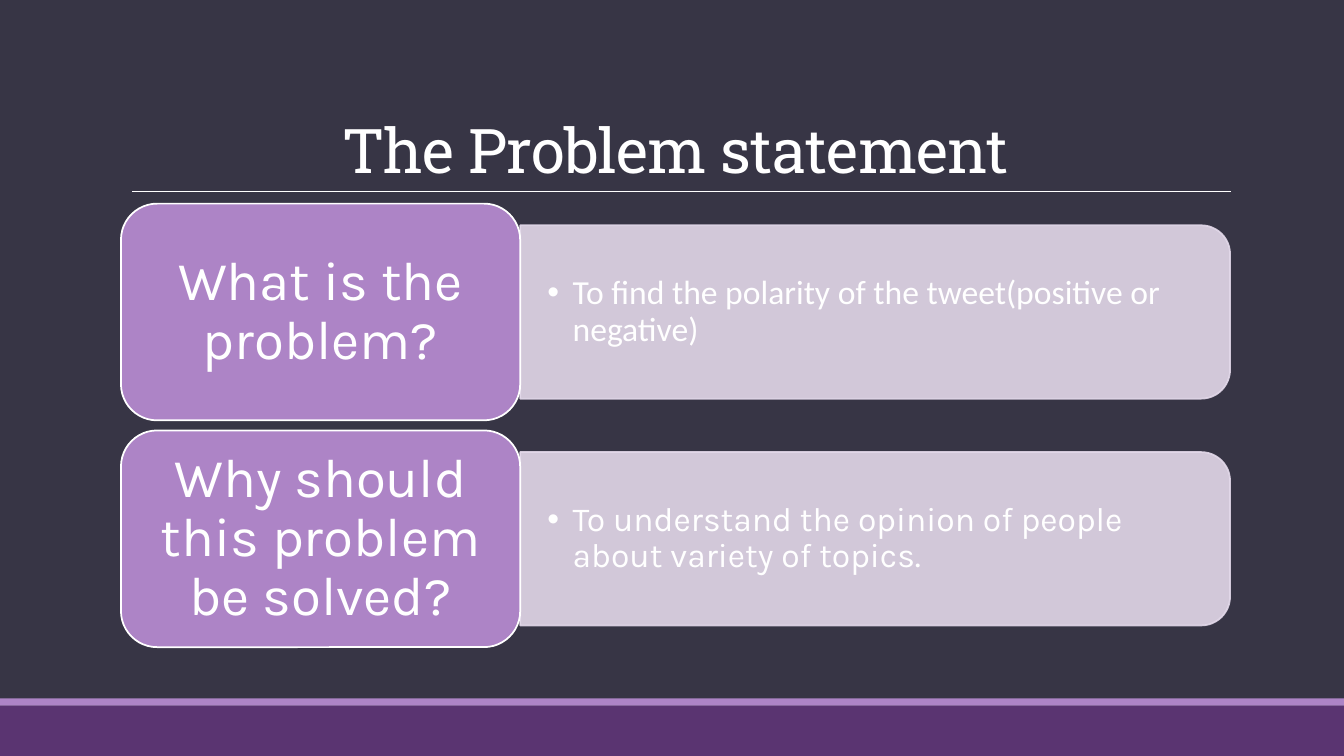
import pptx
import pptx.dml.color
import pptx.enum.shapes
import pptx.enum.text
import pptx.oxml
import pptx.oxml.ns
import pptx.util

Inches = pptx.util.Inches
Pt = pptx.util.Pt
Shape = pptx.enum.shapes.MSO_SHAPE
Align = pptx.enum.text.PP_ALIGN
Anchor = pptx.enum.text.MSO_ANCHOR
WHITE, LILAC, PALE = "FFFFFF", "AD84C6", "E3D9EA"
ROWS = [
    ("What is the problem?",
     "To find the polarity of the tweet(positive or negative)", "Calibri"),
    ("Why should this problem be solved?",
     "To understand the opinion of people about variety of topics.", "Karla"),
]


def paint(color, code):
    """Set a colour from a hex string."""
    color.rgb = pptx.dml.color.RGBColor.from_string(code)


def place(item, left, top, width, height):
    """Move an item to a box given in inches."""
    item.left, item.top = Inches(left), Inches(top)
    item.width, item.height = Inches(width), Inches(height)


def node(tag, **attrs):
    """Make a drawing element with attributes."""
    item = pptx.oxml.parse_xml(f"<{tag} {pptx.oxml.ns.nsdecls('a')}/>")
    for name, value in attrs.items():
        item.set(name, str(value))
    return item


def fade(fill, percent):
    """Make a solid fill partly clear."""
    for color in fill.iter(pptx.oxml.ns.qn("a:srgbClr")):
        color.append(node("a:alpha", val=percent * 1000))


def write(item, text, font="Karla", size=24, align=Align.LEFT, anchor=Anchor.MIDDLE,
          pad=(0.1, 0.05), lines=0.9, track=0, bullet=False):
    """Put formatted text in a shape or placeholder."""
    frame = item.text_frame
    frame.word_wrap = True
    frame.auto_size = pptx.enum.text.MSO_AUTO_SIZE.NONE
    frame.vertical_anchor = anchor
    frame.margin_left = frame.margin_right = Inches(pad[0])
    frame.margin_top = frame.margin_bottom = Inches(pad[1])
    para = frame.paragraphs[0]
    para.alignment, para.line_spacing = align, lines
    para.space_before = para.space_after = Pt(0)
    run = para.add_run()
    run.text = text
    run.font.name, run.font.size = font, Pt(size)
    paint(run.font.color, WHITE)
    if track:
        run.font._element.set("spc", str(track))
    if bullet:
        props = para._p.get_or_add_pPr()
        props.set("marL", str(Inches(0.25)))
        props.set("indent", str(-Inches(0.25)))
        props.append(node("a:buChar", char="•"))


def block(slide, kind, box, fill, line=None):
    """Add a filled shape, outlined if a line colour is given."""
    item = slide.shapes.add_shape(kind, *map(Inches, box))
    item.shadow.inherit = False
    item.fill.solid()
    paint(item.fill.fore_color, fill)
    if line:
        paint(item.line.color, line)
        item.line.width = Pt(1.25)
    else:
        item.line.fill.background()
    return item


def footer(slide, left, top, width, height):
    """Draw the two bands at the foot."""
    block(slide, Shape.RECTANGLE, (left, top + 0.07, width, height - 0.07), "5A3471")
    block(slide, Shape.RECTANGLE, (left, top, width, 0.07), LILAC)


def header(slide, left, top, width, height):
    """Set the title and the rule under it."""
    title = slide.shapes.title
    place(title, left, top, width, height)
    write(title, "The Problem statement", font="Roboto Slab", size=44,
          align=Align.CENTER, anchor=Anchor.BOTTOM, lines=0.85, track=-50)
    base = Inches(top + height)
    rule = slide.shapes.add_connector(pptx.enum.shapes.MSO_CONNECTOR.STRAIGHT,
                                      Inches(left + 0.11), base,
                                      Inches(left + width + 0.01), base)
    paint(rule.line.color, WHITE)
    rule.line.width = Pt(0.5)
    rule._element.spPr.append(node("a:effectLst"))


def row(slide, body, ask, reply, font, left, top, width, height):
    """Draw a question card with its answer panel."""
    card = width * 0.36
    long, deep = width - card, height * 0.8
    panel = block(slide, Shape.ROUND_2_SAME_RECTANGLE,
                  (left + card + (long - deep) / 2, top + (height - long) / 2, deep, long),
                  PALE, PALE)
    panel.rotation = 90
    fade(panel._element.spPr, 90)
    place(body, left + card, top + 0.3, long - 0.08, height - 0.6)
    write(body, reply, font=font, pad=(0.27, 0.14), bullet=True)
    slide.shapes._spTree.append(body._element)
    tile = block(slide, Shape.ROUNDED_RECTANGLE, (left, top, card, height), LILAC, WHITE)
    write(tile, ask, size=39, align=Align.CENTER, pad=(0.16, 0.08))


def build():
    """Build the slide and save it."""
    deck = pptx.Presentation()
    deck.slide_width, deck.slide_height = Inches(13.33), Inches(7.5)
    slide = deck.slides.add_slide(deck.slide_layouts[3])
    back = slide.background.fill
    back.solid()
    paint(back.fore_color, "373545")
    bodies = list(slide.placeholders)[1:]
    footer(slide, 0, 6.93, 13.33, 0.57)
    header(slide, 1.2, 0.31, 11, 1.59)
    for index, (body, words) in enumerate(zip(bodies, ROWS)):
        row(slide, body, *words, 1.2, 2.02 + index * 2.25, 11, 2.15)
    deck.save("out.pptx")


build()
